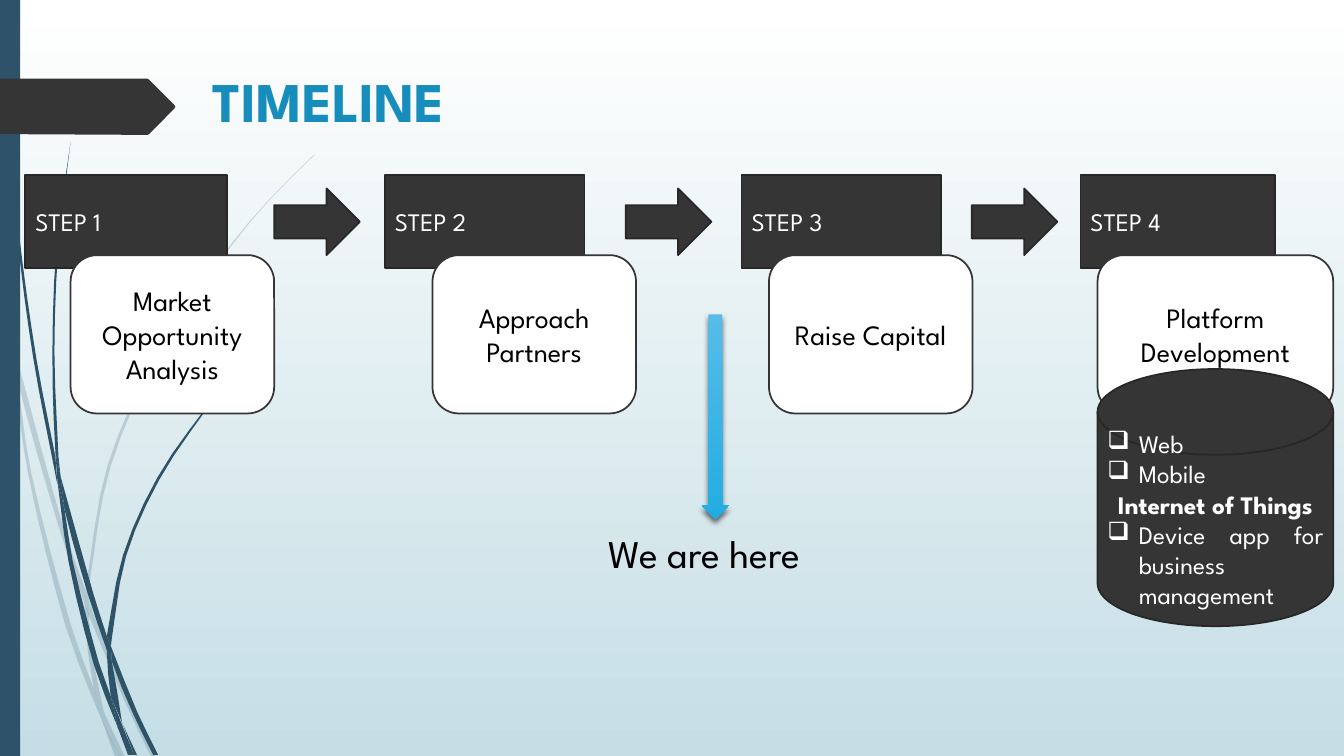
from itertools import chain
from math import ceil, hypot

from lxml import etree
from pptx import Presentation
from pptx.dml.color import RGBColor
from pptx.enum.shapes import MSO_SHAPE
from pptx.enum.text import MSO_ANCHOR, MSO_AUTO_SIZE, PP_ALIGN
from pptx.oxml.ns import qn
from pptx.util import Cm, Pt

RECT, CARD = MSO_SHAPE.RECTANGLE, MSO_SHAPE.ROUNDED_RECTANGLE
RIGHT, DOWN = MSO_SHAPE.RIGHT_ARROW, MSO_SHAPE.DOWN_ARROW
DISK = MSO_SHAPE.FLOWCHART_MAGNETIC_DISK
TOP, MIDDLE = MSO_ANCHOR.TOP, MSO_ANCHOR.MIDDLE
LEFT, CENTER, JUSTIFY = PP_ALIGN.LEFT, PP_ALIGN.CENTER, PP_ALIGN.JUSTIFY
NO_FIT = MSO_AUTO_SIZE.NONE

FONT = "League Spartan"
CHARCOAL, EDGE, NAVY = "353535", "272727", "2E5369"
WHITE, BLACK = "FFFFFF", "000000"
GRID = 2.54  # cm per unit of the wisp coordinates
STRIDE = 0.4  # longest straight piece of a wisp edge, in those units

# Step label, its left and width, card lines, card left and width (cm)
STEPS = [
    ("STEP 1", 0.64, 5.08, ["Market Opportunity", "Analysis"], 1.78, 5.13),
    ("STEP 2", 9.7, 5.03, ["Approach Partners"], 10.9, 5.13),
    ("STEP 3", 18.69, 5.03, ["Raise Capital"], 19.38, 5.13),
    ("STEP 4", 27.23, 4.9, ["Platform Development"], 27.66, 5.94),
]
ARROW_LEFTS = [6.91, 15.77, 24.49]

# Each wisp is a pair of smooth edges, one down and one back
FAINT_WISPS = [
    ([(0, 2.82), (.09, 3.22), (.11, 3.5)], [(.1, 3.44), (0, 2.99)]),
    ([(.14, 3.45), (.17, 3.76), (.58, 5.22), (.84, 5.99)],
     [(.85, 5.86), (.62, 5.2), (.14, 3.45)]),
    ([(.88, 6.1), (1.23, 6.94), (1.5, 7.51)],
     [(1.55, 7.51), (1.27, 6.92), (.92, 6.07), (.88, 5.96)]),
    ([(1.05, 7.11), (1.19, 7.51)], [(1.24, 7.51), (1.05, 7.11)]),
    ([(.11, 3.5), (.28, 4.7), (.65, 6.21), (.92, 6.93), (1.01, 7.14)],
     [(.93, 6.83), (.7, 6.19), (.31, 4.69), (.17, 3.76), (.11, 3.5)]),
    ([(.84, 5.99), (.87, 6.46), (.93, 6.83), (1.05, 7.11)],
     [(1.03, 7.06), (.91, 6.46), (.88, 6.08)]),
    ([(.88, 5.96), (.88, 5.84), (1.1, 4.62), (1.6, 3.49), (2.29, 2.45),
      (2.68, 1.98), (3.12, 1.54)],
     [(3.12, 1.53), (2.68, 1.97), (2.28, 2.44), (1.58, 3.48),
      (1.07, 4.61), (.85, 5.84)]),
    ([(1.01, 7.14), (1.14, 7.51)], [(1.19, 7.51), (1.01, 7.14)]),
    ([(.88, 6.1), (.88, 5.96)], [(.85, 5.86), (.84, 5.99)]),
    ([(.93, 6.83), (1.01, 7.14), (1.19, 7.51)], [(1.05, 7.11), (.93, 6.83)]),
]
DARK_WISPS = [
    ([(.03, 0), (.07, 1.1), (.17, 2.33), (.33, 3.55), (.57, 4.81)],
     [(.55, 4.53), (.36, 3.55), (.19, 2.32), (.08, 1.09), (.04, 0)]),
    ([(.6, 4.72), (.64, 5.05), (.88, 5.92), (1.06, 6.45)],
     [(1.06, 6.31), (.93, 5.9), (.6, 4.72)]),
    ([(1.1, 6.41), (1.11, 6.56), (1.32, 7.08), (1.52, 7.49)],
     [(1.57, 7.49), (1.36, 7.06), (1.1, 6.41)]),
    ([(.57, 4.77), (.68, 5.57), (.93, 6.59), (1.17, 7.22)],
     [(1.1, 6.91), (.98, 6.57), (.72, 5.56), (.64, 5.05), (.57, 4.77)]),
    ([(.7, 1.41), (.56, 2.45), (.52, 3.49), (.55, 4.49), (.6, 4.72)],
     [(.58, 4.53), (.54, 3.49), (.58, 2.45), (.7, 1.41)]),
    ([(1.22, 7.19), (1.33, 7.49)], [(1.36, 7.49), (1.22, 7.19)]),
    ([(.55, 4.49), (.57, 4.77), (.64, 5.05)], [(.6, 4.72), (.55, 4.49)]),
    ([(1.1, 6.41), (1.11, 6.33), (1.25, 5.52), (1.58, 4.76), (2.05, 4.06),
      (2.31, 3.74), (2.61, 3.44)],
     [(2.6, 3.44), (2.31, 3.73), (2.04, 4.05), (1.56, 4.74),
      (1.22, 5.51), (1.06, 6.31)]),
    ([(1.17, 7.22), (1.27, 7.49)], [(1.31, 7.49), (1.17, 7.22)]),
    ([(1.06, 6.45), (1.1, 6.91), (1.22, 7.19)],
     [(1.21, 7.16), (1.11, 6.56), (1.06, 6.45)]),
    ([(1.06, 6.31), (1.06, 6.45), (1.11, 6.56)], [(1.1, 6.41), (1.06, 6.31)]),
    ([(1.1, 6.91), (1.17, 7.22), (1.3, 7.49)], [(1.33, 7.49), (1.1, 6.91)]),
]
POINTER = [(0, 1.98), (3.71, 1.98), (3.76, 2.01), (4.39, 2.64), (4.42, 2.69),
           (4.39, 2.74), (3.76, 3.38), (3.71, 3.4), (0, 3.38)]


def rgb(value):
    return RGBColor.from_string(value)


def paint(shape, fill, line=None):
    shape.shadow.inherit = False
    shape.fill.solid()
    shape.fill.fore_color.rgb = rgb(fill)
    if line:
        shape.line.color.rgb = rgb(line)
        shape.line.width = Pt(1.25)
    else:
        shape.line.fill.background()


def gradient(fill, *colors):
    fill.gradient()
    fill.gradient_angle = 270
    for stop, color in zip(fill.gradient_stops, colors):
        stop.color.rgb = rgb(color)


def add_block(slide, kind, box, fill, line=None):
    block = slide.shapes.add_shape(kind, *map(Cm, box))
    paint(block, fill, line)
    return block


def write(shape, lines, size, color, align=LEFT, anchor=MIDDLE, bold=False):
    frame = shape.text_frame
    frame.word_wrap = True
    frame.vertical_anchor = anchor
    frame.text = "\n".join(lines)
    for paragraph in frame.paragraphs:
        paragraph.alignment = align
        font = paragraph.font
        font.name, font.size, font.bold = FONT, Pt(size), bold
        font.color.rgb = rgb(color)
    return frame.paragraphs


def add_bullet(paragraph):
    paragraph.alignment = JUSTIFY
    props = paragraph._p.get_or_add_pPr()
    props.set("marL", str(Cm(0.79)))
    props.set("indent", str(-Cm(0.79)))
    props.insert(0, etree.Element(qn("a:buChar"), char="❑"))


def add_soft_shadow(shape):
    effects = shape._element.spPr.find(qn("a:effectLst"))
    shadow = etree.SubElement(effects, qn("a:outerShdw"), blurRad=str(Pt(4)),
                              dist=str(Pt(3)), dir="5400000", rotWithShape="0")
    color = etree.SubElement(shadow, qn("a:srgbClr"), val=BLACK)
    etree.SubElement(color, qn("a:alpha"), val="60000")


def smooth(knots):
    """Cubic curve through the knots, with handles a third of each chord."""
    ends = [knots[0], *knots, knots[-1]]
    points = [knots[0]]
    for before, start, end, after in zip(ends, ends[1:], ends[2:], ends[3:]):
        chord = hypot(end[0] - start[0], end[1] - start[1])
        leave = chord / 3 / hypot(end[0] - before[0], end[1] - before[1])
        enter = chord / 3 / hypot(after[0] - start[0], after[1] - start[1])
        steps = ceil(chord / STRIDE)
        for t in (n / steps for n in range(1, steps + 1)):
            u = 1 - t
            points.append(tuple(
                u**3 * a + 3 * u * u * t * (a + leave * (b - p))
                + 3 * u * t * t * (b - enter * (q - a)) + t**3 * b
                for p, a, b, q in zip(before, start, end, after)))
    return points


def add_outline(slide, points, fill, scale=1.0):
    first, *rest = [(Cm(x * scale), Cm(y * scale)) for x, y in points]
    builder = slide.shapes.build_freeform(*first)
    builder.add_line_segments(rest, close=True)
    outline = builder.convert_to_shape()
    paint(outline, fill)
    return outline


def add_wisps(slide, wisps, opacity=None):
    for edges in wisps:
        wisp = add_outline(slide, chain(*map(smooth, edges)), NAVY, GRID)
        if opacity:
            color = wisp._element.spPr.find(qn("a:solidFill"))[0]
            etree.SubElement(color, qn("a:alpha"), val=str(opacity * 1000))


def main():
    deck = Presentation()
    deck.slide_width, deck.slide_height = Cm(33.87), Cm(19.05)
    slide = deck.slides.add_slide(deck.slide_layouts[5])

    # Backdrop
    gradient(slide.background.fill, WHITE, "C5DEE5")
    add_wisps(slide, FAINT_WISPS, opacity=20)
    add_wisps(slide, DARK_WISPS)
    add_block(slide, RECT, (0, 0, 0.51, 19.05), NAVY)
    add_outline(slide, POINTER, CHARCOAL)

    # Title
    title = slide.shapes.title
    title.left, title.top, title.width, title.height = map(Cm, (5.11, 1.55, 7.16, 1.85))
    write(title, ["TIMELINE"], 40, "178DBB", anchor=TOP, bold=True)
    title.text_frame.auto_size = NO_FIT

    # Steps, then the cards that overlap them
    for label, left, width, *_ in STEPS:
        step = add_block(slide, RECT, (left, 4.42, width, 2.34), CHARCOAL, EDGE)
        write(step, [label], 18, WHITE)
    for *_, task, left, width in STEPS:
        card = add_block(slide, CARD, (left, 6.43, width, 3.99), WHITE, CHARCOAL)
        write(card, task, 20, BLACK, CENTER)
    for left in ARROW_LEFTS:
        add_block(slide, RIGHT, (left, 4.75, 2.16, 1.68), CHARCOAL, EDGE)

    # Current position
    marker = add_block(slide, DOWN, (17.68, 7.92, 0.69, 5.16), WHITE)
    gradient(marker.fill, "57BCE9", "22ADE2")
    add_soft_shadow(marker)
    here = slide.shapes.add_textbox(*map(Cm, (15.09, 13.21, 6.78, 1.45)))
    write(here, ["We are here"], 28, BLACK, anchor=TOP)

    # Platform parts
    platform = add_block(slide, DISK, (27.66, 9.3, 5.94, 6.48), CHARCOAL, EDGE)
    web, mobile, things, device = write(
        platform, ["Web", "Mobile", "Internet of Things",
                   "Device app for business management"], 18, WHITE)
    for item in (web, mobile, device):
        add_bullet(item)
    things.alignment = CENTER
    things.font.bold = True

    deck.save("out.pptx")


main()
